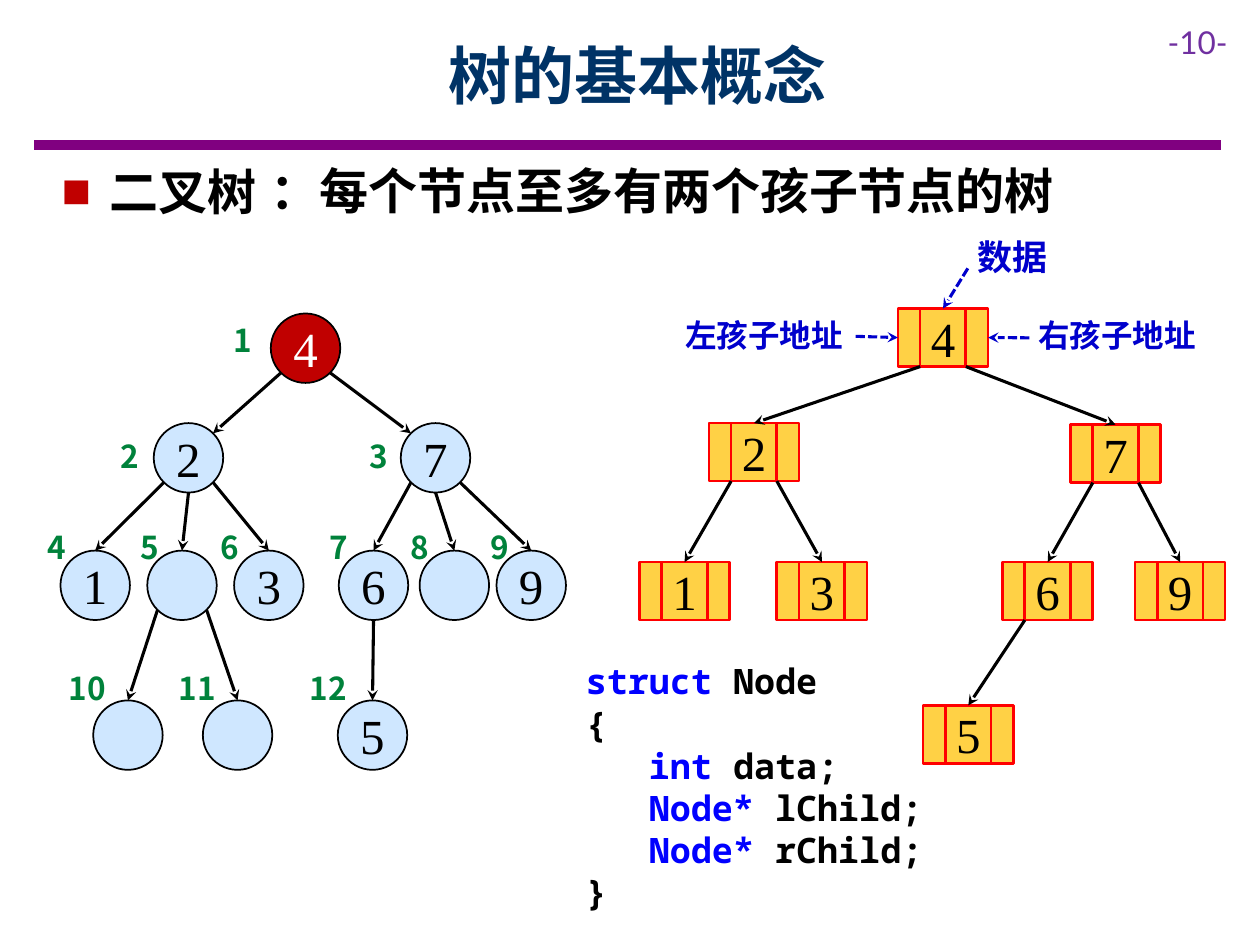
import math
import pptx
import pptx.util
import pptx.dml.color
import pptx.enum.dml
import pptx.enum.shapes
import pptx.enum.text
import pptx.oxml
import pptx.oxml.ns

Cm, Pt = pptx.util.Cm, pptx.util.Pt
SHAPE = pptx.enum.shapes.MSO_SHAPE
ANCHOR = pptx.enum.text.MSO_ANCHOR
ALIGN = pptx.enum.text.PP_ALIGN
CJK, MONO, SERIF = "Noto Sans CJK SC", "Noto Sans Mono", "Times New Roman"
COLORS = {
    "black": "000000", "white": "FFFFFF", "title": "003366", "rule": "800080",
    "page": "7030A0", "red": "C00000", "circle": "99CCFF", "number": "00823B",
    "cell": "FFC000", "cell_line": "FF0000", "note": "0000CC", "keyword": "0000FF",
}

LEVELS = [(7.02, 6.35), (9.23, 8.69), (11.8, 10.52), (14.82, 13.36)]
# number: value, level, centre x, number x, parent, side of the parent left
CIRCLES = {
    1: ("4", 0, 6.16, 4.45, None, 0),
    2: ("2", 1, 3.8, 2.18, 1, -1),
    3: ("7", 1, 8.78, 7.19, 1, 1),
    4: ("1", 2, 1.92, 0.71, 2, -1),
    5: ("", 2, 3.67, 2.59, 2, 0),
    6: ("3", 2, 5.42, 4.19, 2, 1),
    7: ("6", 2, 7.53, 6.4, 3, -1),
    8: ("", 2, 9.16, 8.03, 3, 0),
    9: ("9", 2, 10.71, 9.63, 3, 1),
    10: ("", 3, 2.58, 1.14, 5, -1),
    11: ("", 3, 4.79, 3.35, 5, 1),
    12: ("5", 3, 7.51, 5.99, 7, 0),
}
BOXES = {
    "4": (19.01, 6.22, None, 0),
    "2": (15.2, 8.53, "4", -1),
    "7": (22.49, 8.56, "4", 1),
    "1": (13.8, 11.33, "2", -1),
    "3": (16.57, 11.33, "2", 1),
    "6": (21.12, 11.33, "7", -1),
    "9": (23.79, 11.33, "7", 1),
    "5": (19.52, 14.22, "6", -1),
}
NOTES = [
    ("数据", 20, (19.46, 4.62, 2.18, 1.12), (19.51, 5.41), 0, 0),
    ("左孩子地址", 18, (13.56, 6.25, 4.17, 1.02), (17.25, 6.78), -1, 1),
    ("右孩子地址", 18, (20.68, 6.25, 4.17, 1.02), (20.75, 6.81), 1, 3),
]
CODE = [
    [("struct", "keyword"), (" Node", "black")],
    [("{", "black")],
    [("   ", "black"), ("int ", "keyword"), ("data;", "black")],
    [("   Node*", "keyword"), (" lChild;", "black")],
    [("   ", "black"), ("Node*", "keyword"), (" rChild;", "black")],
    [("}", "black")],
]
DIAMETER, RADIUS = 1.4, 0.7
CELL_W, SIDE_W, CELL_H = 0.92, 0.45, 1.17

prs = pptx.Presentation()
prs.slide_width, prs.slide_height = Cm(25.4), Cm(19.05)
s = prs.slides.add_slide(prs.slide_layouts[1])


def rgb(name):
    return pptx.dml.color.RGBColor.from_string(COLORS[name])


def add_xml(parent, tag, **attrs):
    el = pptx.oxml.parse_xml(f"<a:{tag} {pptx.oxml.ns.nsdecls('a')}/>")
    for key, value in attrs.items():
        el.set(key, value)
    parent.append(el)


def add_run(p, text, size, color, font=CJK, bold=True):
    r = p.add_run()
    r.text = text
    r.font.size, r.font.bold, r.font.name = Pt(size), bold, font
    r.font.color.rgb = rgb(color)
    add_xml(r._r.get_or_add_rPr(), "ea", typeface=font)


def place(sp, left, top, width, height):
    sp.left, sp.top, sp.width, sp.height = Cm(left), Cm(top), Cm(width), Cm(height)
    sp.text_frame.word_wrap = True
    sp.text_frame.auto_size = pptx.enum.text.MSO_AUTO_SIZE.NONE


def add_text(box, text, size, color, font=CJK, bold=True):
    sp = s.shapes.add_textbox(0, 0, 0, 0)
    place(sp, *box)
    add_run(sp.text_frame.paragraphs[0], text, size, color, font, bold)


def add_node(shapes, kind, box, fill, alpha, line, width, value="", color="black"):
    sp = shapes.add_shape(kind, *map(Cm, box))
    sp.shadow.inherit = False
    sp.fill.solid()
    sp.fill.fore_color.rgb = rgb(fill)
    if alpha < 100:
        clr = sp._element.spPr.find(".//" + pptx.oxml.ns.qn("a:srgbClr"))
        add_xml(clr, "alpha", val=str(alpha * 1000))
    sp.line.color.rgb = rgb(line)
    sp.line.width = Pt(width)
    if value:
        tf = sp.text_frame
        tf.margin_left = tf.margin_right = tf.margin_top = tf.margin_bottom = 0
        tf.word_wrap = False
        tf.vertical_anchor = ANCHOR.MIDDLE
        p = tf.paragraphs[0]
        p.alignment = ALIGN.CENTER
        add_run(p, value, 28, color, SERIF, False)
    return sp


def add_line(start, end, color="black", width=1.75, arrow=True, dashed=False, target=None, site=0):
    c = s.shapes.add_connector(pptx.enum.shapes.MSO_CONNECTOR.STRAIGHT,
                               *map(Cm, (*start, *end)))
    c.line.color.rgb = rgb(color)
    c.line.width = Pt(width)
    if dashed:
        c.line.dash_style = pptx.enum.dml.MSO_LINE.SQUARE_DOT
    if arrow:
        add_xml(c.line._get_or_add_ln(), "tailEnd", type="stealth")
    add_xml(c._element.spPr, "effectLst")
    if target is not None:
        c.end_connect(target, site)


def on_circle(number, side, down):
    _, level, x, *_ = CIRCLES[number]
    rise = RADIUS * (math.sqrt(0.5) if side else 1)
    return x + side * rise, LEVELS[level][0] + down * rise


add_line((0.69, 2.92), (24.61, 2.92), "rule", 6, arrow=False)
add_text((23.29, 0.33, 2.11, 1.02), "-10-", 18, "page", "Lato", False)

title, body = s.placeholders
place(title, 2.29, 0.23, 21.11, 2.54)
title.text_frame.vertical_anchor = ANCHOR.MIDDLE
p = title.text_frame.paragraphs[0]
p.alignment = ALIGN.CENTER
add_run(p, "树的基本概念", 36, "title")

place(body, 0.99, 3.12, 4.67, 1.45)
p = body.text_frame.paragraphs[0]
pPr = p._p.get_or_add_pPr()
pPr.set("marL", str(Cm(0.97)))
pPr.set("indent", str(-Cm(0.97)))
pPr.append(pptx.oxml.parse_xml(
    f'<a:buClr {pptx.oxml.ns.nsdecls("a")}><a:srgbClr val="{COLORS["red"]}"/></a:buClr>'))
add_xml(pPr, "buChar", char="■")
p.space_before, p.space_after = Pt(0), Pt(6)
add_run(p, "二叉树", 28, "black")
add_text((5.21, 3.12, 18.9, 1.45), "：每个节点至多有两个孩子节点的树", 28, "black")

circles = {}
for number, (value, level, x, number_x, parent, side) in CIRCLES.items():
    y, number_y = LEVELS[level]
    look = ("circle", 47) if parent else ("red", 100)
    circles[number] = add_node(
        s.shapes, SHAPE.OVAL, (x - RADIUS, y - RADIUS, DIAMETER, DIAMETER), *look,
        "black", 1, value, "black" if parent else "white")
    add_text((number_x, number_y, 0.91 if number < 10 else 1.4, 1.02), str(number), 18, "number")
    if parent:
        from_root = parent == 1
        add_line(on_circle(parent, side, 1), on_circle(number, -side if from_root else 0, -1),
                 target=None if from_root else circles[number])

cells = {}
for value, (x, top, parent, side) in BOXES.items():
    group = s.shapes.add_group_shape()
    for part, left, width in ((0, x - CELL_W / 2, CELL_W),
                              (1, x + CELL_W / 2, SIDE_W),
                              (-1, x - CELL_W / 2 - SIDE_W, SIDE_W)):
        cells[value, part] = add_node(
            group.shapes, SHAPE.RECTANGLE, (left, top, width, CELL_H), "cell", 73,
            "cell_line", 1.5, "" if part else value)
    if parent:
        parent_x, parent_top = BOXES[parent][:2]
        add_line((parent_x + side * CELL_W / 2, parent_top + CELL_H), (x, top),
                 target=cells[value, 0])

for text, size, box, start, part, site in NOTES:
    add_text(box, text, size, "note")
    add_line(start, start, "note", dashed=True, target=cells["4", part], site=site)

sp = s.shapes.add_textbox(0, 0, 0, 0)
place(sp, 11.56, 13.18, 7.37, 5.38)
tf = sp.text_frame
for i, runs in enumerate(CODE):
    p = tf.add_paragraph() if i else tf.paragraphs[0]
    for text, color in runs:
        add_run(p, text, 20, color, MONO)

prs.save("out.pptx")
